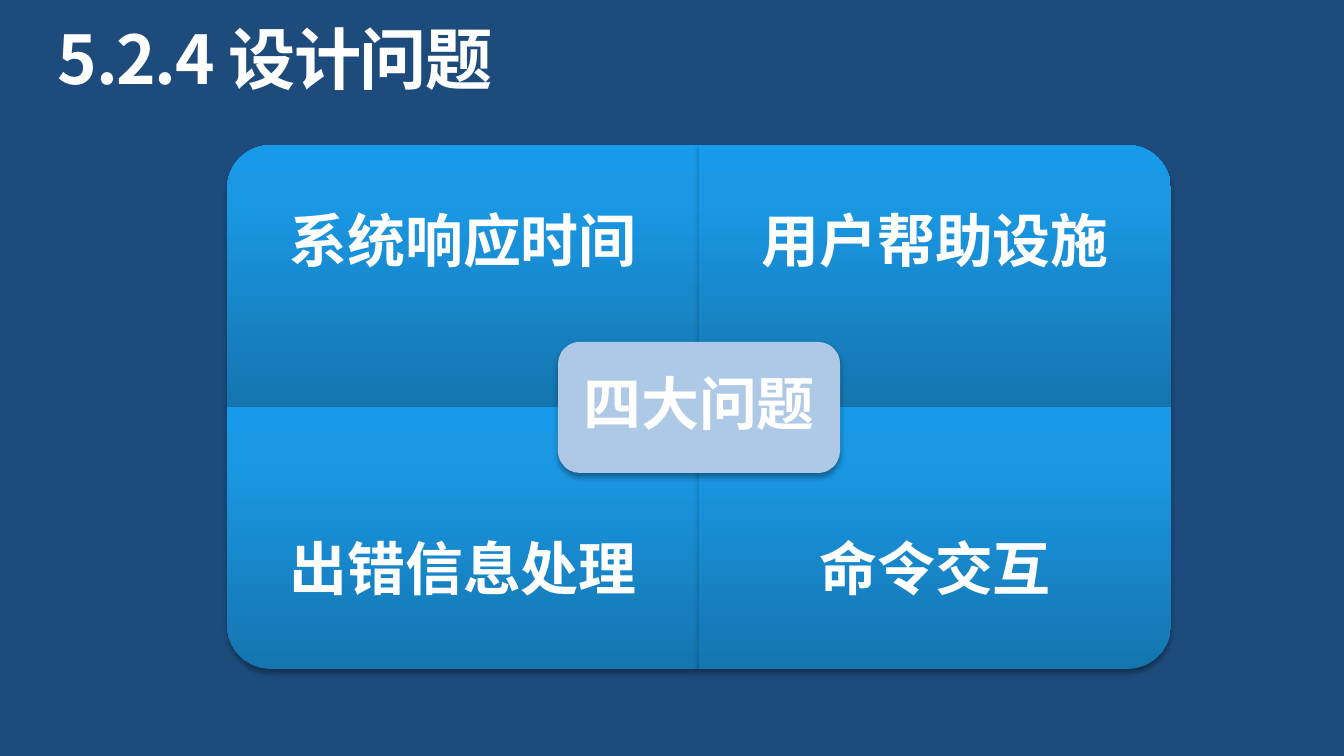
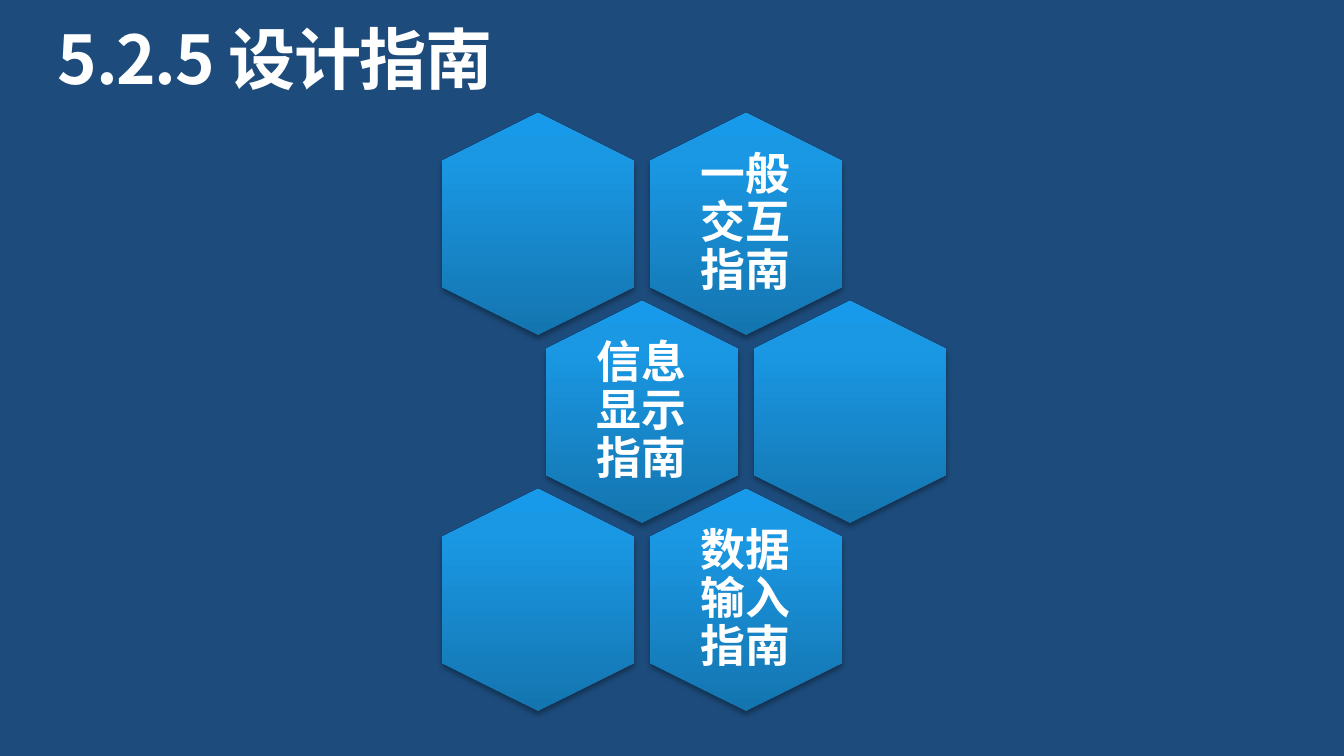
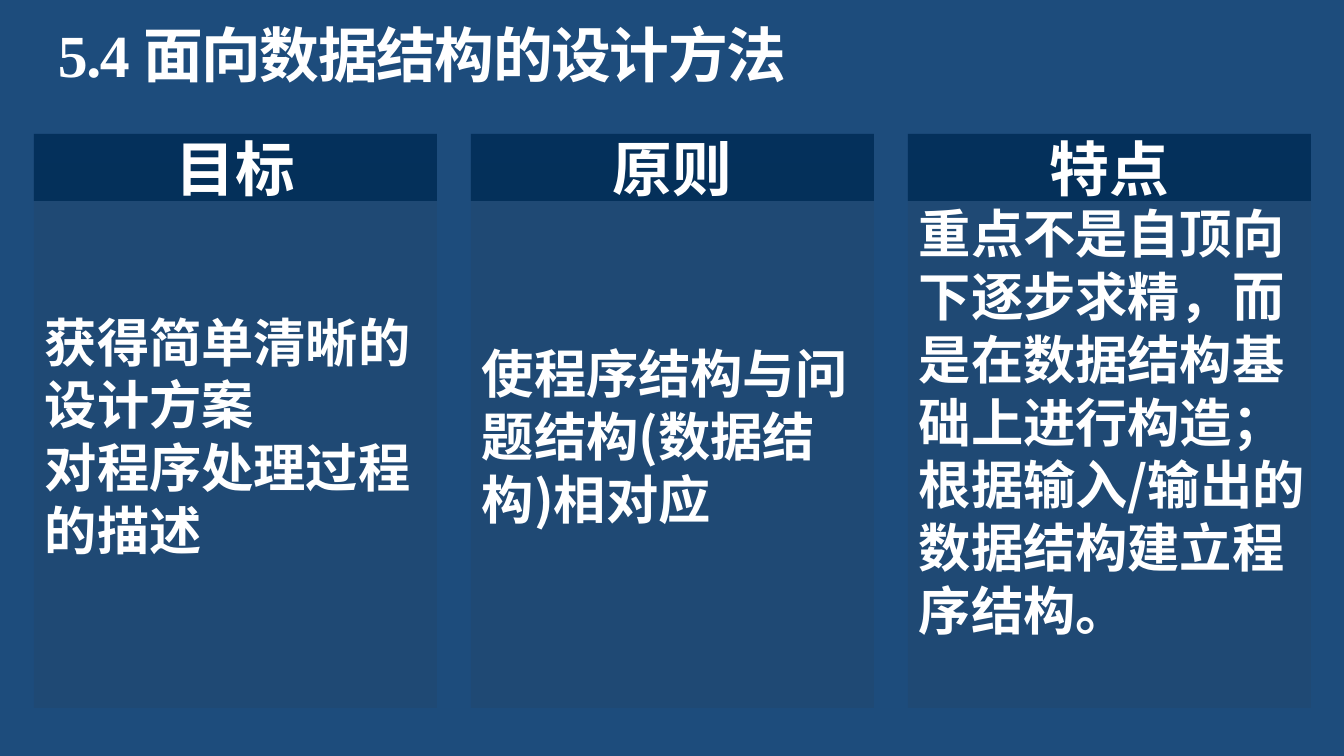
from copy import deepcopy

from lxml.etree import SubElement
from pptx import Presentation
from pptx.dml.color import RGBColor
from pptx.enum.shapes import MSO_SHAPE as SHAPE
from pptx.enum.text import MSO_ANCHOR as ANCHOR, MSO_AUTO_SIZE as AUTO, PP_ALIGN as ALIGN
from pptx.oxml import parse_xml
from pptx.oxml.ns import nsdecls, qn
from pptx.util import Emu, Pt

PX = 914400 / 134.4
NAVY = RGBColor(0x1D, 0x4C, 0x7C)
WHITE = RGBColor(0xFF, 0xFF, 0xFF)
BLUE_LOW = RGBColor(0x14, 0x75, 0xAF)
BLUE_MID = RGBColor(0x1A, 0x98, 0xE4)
BLUE_TOP = RGBColor(0x16, 0x9A, 0xE9)
PALE_BLUE = RGBColor(0xAE, 0xC9, 0xE6)
CHARCOAL = RGBColor(0x36, 0x35, 0x35)
DEEP_NAVY = RGBColor(0x00, 0x2C, 0x56)
SHADE = RGBColor(0x00, 0x00, 0x00)
SANS = "Noto Sans CJK SC"
SERIF = "Times New Roman"

STOPS = "".join(
    f'<a:gs pos="{position * 1000}"><a:srgbClr val="{color}"/></a:gs>'
    for position, color in ((0, BLUE_LOW), (80, BLUE_MID), (100, BLUE_TOP))
)
GRADIENT = (
    f'<a:gradFill {nsdecls("a")} rotWithShape="0"><a:gsLst>{STOPS}</a:gsLst>'
    '<a:lin ang="16200000" scaled="0"/></a:gradFill>'
)
SHADOW = (
    f'<a:outerShdw {nsdecls("a")} blurRad="39400" dist="22900" dir="5400000" rotWithShape="0">'
    f'<a:srgbClr val="{SHADE}"><a:alpha val="35000"/></a:srgbClr></a:outerShdw>'
)


def add_panel(slide, kind, box, color=None, alpha=None, rotation=0):
    panel = slide.shapes.add_shape(kind, *[Emu(round(v * PX)) for v in box])
    panel.rotation = rotation
    panel.shadow.inherit = False
    panel.line.fill.background()
    props = panel._element.spPr
    if color is None:
        panel.fill.background()
        props.replace(props.find(qn("a:noFill")), parse_xml(GRADIENT))
    else:
        panel.fill.solid()
        panel.fill.fore_color.rgb = color
    if alpha is None:
        props.find(qn("a:effectLst")).append(parse_xml(SHADOW))
    else:
        tint = props.find(qn("a:solidFill")).find(qn("a:srgbClr"))
        SubElement(tint, qn("a:alpha")).set("val", str(alpha * 1000))
    return panel


def write(holder, text, size, insets, align=ALIGN.CENTER, anchor=ANCHOR.MIDDLE,
          spacing=0.9, wrap=True):
    frame = holder.text_frame
    frame.text = text
    frame.word_wrap = wrap
    frame.vertical_anchor = anchor
    frame.margin_left, frame.margin_top, frame.margin_right, frame.margin_bottom = [
        Emu(round(v * PX)) for v in insets
    ]
    for paragraph in frame.paragraphs:
        paragraph.alignment = align
        paragraph.line_spacing = spacing
        for run in paragraph.runs:
            run.font.size = Pt(size)
            run.font.bold = True
            run.font.color.rgb = WHITE
            run.font.name = SANS
            SubElement(run._r.rPr, qn("a:ea")).set("typeface", SANS)


prs = Presentation()
prs.slide_width = Emu(round(1344 * PX))
prs.slide_height = Emu(round(756 * PX))
prs.slide_master.background.fill.solid()
prs.slide_master.background.fill.fore_color.rgb = NAVY

for heading, size, height in (
    ("5.2.4 设计问题", 36, 74),
    ("5.2.5 设计指南", 36, 74),
    ("面向数据结构的设计方法", 32, 65),
):
    title = prs.slides.add_slide(prs.slide_layouts[5]).shapes.title
    title.left, title.top, title.width, title.height = [
        Emu(round(v * PX)) for v in (58, 26, 1230, height)
    ]
    write(title, heading, size, (0, 0, 0, 0), ALIGN.LEFT, ANCHOR.TOP)
    title.text_frame.auto_size = AUTO.SHAPE_TO_FIT_TEXT
    title.text_frame.paragraphs[0].runs[0]._r.rPr.set("spc", "-80")

problems, guides, methods = prs.slides

topic = methods.shapes.title.text_frame.paragraphs[0]
topic.runs[0]._r.addprevious(deepcopy(topic.runs[0]._r))
topic.runs[0].text = "5.4 "
topic.runs[0].font.name = SERIF

QUAD_W, QUAD_H = 472, 262
for index, (problem, turn) in enumerate((
    ("系统响应时间", 270), ("用户帮助设施", 0), ("出错信息处理", 180), ("命令交互", 90),
)):
    row, column = divmod(index, 2)
    left, top = 227 + column * QUAD_W, 145 + row * QUAD_H
    shift = (QUAD_W - QUAD_H) // 2 if turn % 180 else 0
    quadrant = (left + shift, top - shift, QUAD_W - 2 * shift, QUAD_H + 2 * shift)
    add_panel(problems, SHAPE.ROUND_1_RECTANGLE, quadrant, rotation=turn)
    label = problems.shapes.add_textbox(
        *[Emu(round(v * PX)) for v in (left, top + row * 66, QUAD_W, 198)])
    write(label, problem, 31, (32, 32, 32, 32))

add_panel(problems, SHAPE.ROUNDED_RECTANGLE, (558, 342, 282, 131), PALE_BLUE)
core = problems.shapes.add_textbox(*[Emu(round(v * PX)) for v in (564, 348, 270, 118)])
write(core, "四大问题", 31, (17, 17, 17, 17))

for row, pair in enumerate((
    ("", "一般交互指南"), ("信息显示指南", ""), ("", "数据输入指南"),
)):
    for column, guide in enumerate(pair):
        left = 427 + column * 208 + row % 2 * 104
        top = 128 + row * 188
        hexagon = add_panel(guides, SHAPE.HEXAGON, (left, top, 222, 192), rotation=90)
        hexagon.adjustments[0] = 0.25
        hexagon.adjustments[1] = 1.1547
        if guide:
            label = guides.shapes.add_textbox(
                *[Emu(round(v * PX)) for v in (left + 44, top + 20, 133, 152)])
            write(label, guide, 24, (13, 13, 13, 13))

for column, (aspect, details, anchor, bottom) in enumerate((
    ("目标", "获得简单清晰的\v设计方案\n对程序处理过程\v的描述", ANCHOR.MIDDLE, 5),
    ("原则", "使程序结构与问\v题结构(数据结\v构)相对应", ANCHOR.MIDDLE, 5),
    ("特点", "重点不是自顶向\v下逐步求精，而\v是在数据结构基\v础上进行构造；\n"
             "根据输入/输出的\v数据结构建立程\v序结构。", ANCHOR.BOTTOM, 67),
)):
    left = 34 + column * 437
    body = add_panel(methods, SHAPE.RECTANGLE, (left, 163, 403, 545), CHARCOAL, 10)
    write(body, details, 28, (11, 5, 11, bottom), ALIGN.LEFT, anchor, 1.0, False)
    band = add_panel(methods, SHAPE.RECTANGLE, (left, 134, 403, 67), DEEP_NAVY, 85)
    write(band, aspect, 32, (11, 5, 11, 5), spacing=1.0)

prs.save("out.pptx")
